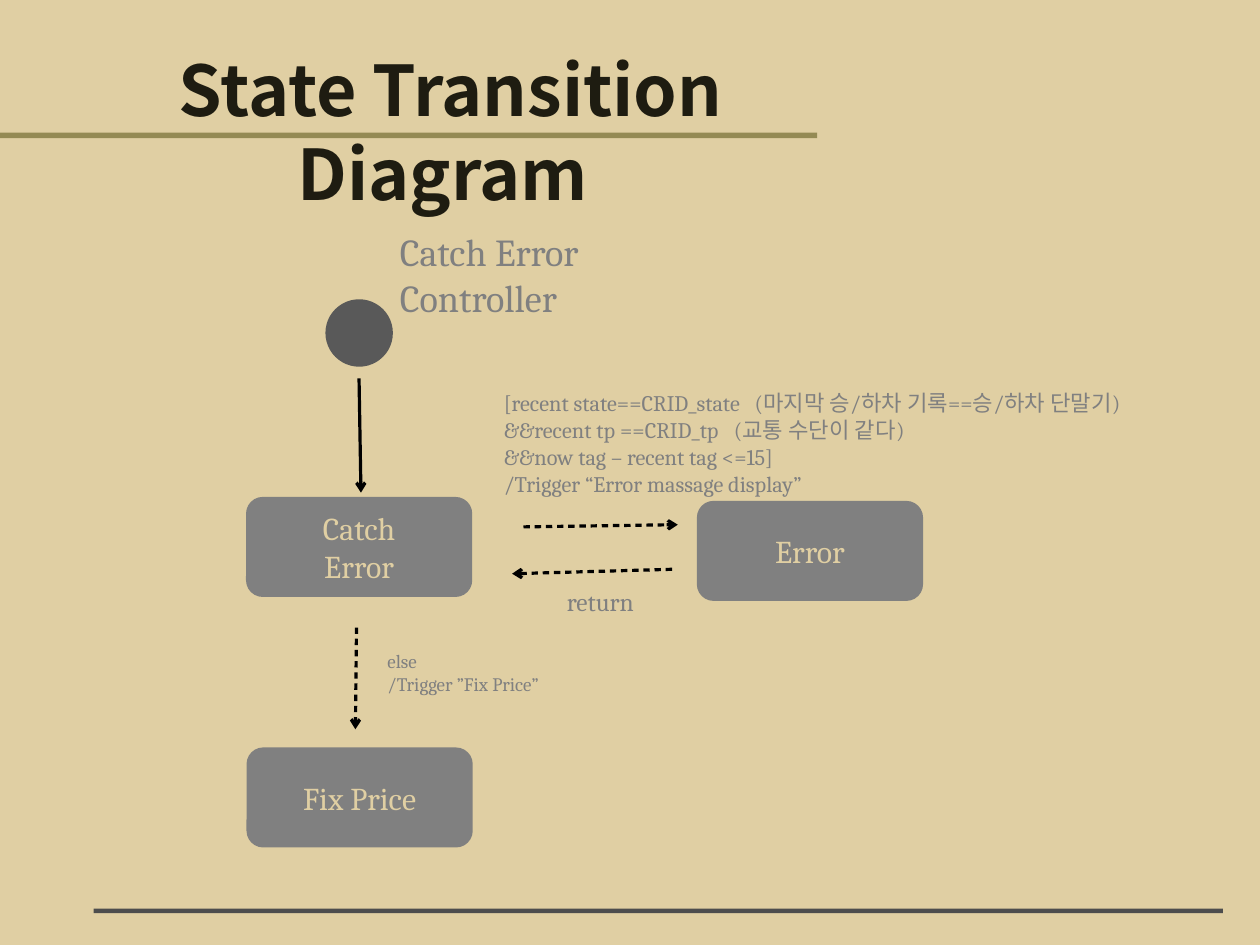
"""Builds the state transition slide of the catch error controller."""
import dataclasses

import pptx
import pptx.dml.color
import pptx.enum.shapes
import pptx.enum.text
import pptx.oxml
import pptx.oxml.ns
import pptx.util

Pt = pptx.util.Pt
Shape = pptx.enum.shapes.MSO_SHAPE
Align = pptx.enum.text.PP_ALIGN
Anchor = pptx.enum.text.MSO_ANCHOR


@dataclasses.dataclass
class Theme:
    back: str = "E0CFA3"
    gray: str = "808080"
    dot: str = "595959"
    ink: str = "1E1C11"
    olive: str = "948A54"
    foot: str = "4D4D4D"
    black: str = "000000"
    body: str = "Cambria"
    head: str = "Noto Sans CJK KR"
    title: int = 44
    name: int = 24
    state: int = 20
    label: int = 16
    guard: int = 14
    note: int = 12


def rgb(code):
    return pptx.dml.color.RGBColor.from_string(code)


def node(tag, **attrs):
    item = pptx.oxml.parse_xml(f"<a:{tag} {pptx.oxml.ns.nsdecls('a')}/>")
    for key, value in attrs.items():
        item.set(key, str(value))
    return item


def write(frame, text, size, color, font, east, bold=False, align=Align.LEFT,
          anchor=Anchor.TOP, inset=(7.2, 3.6), stops=()):
    frame.word_wrap = True
    frame.vertical_anchor = anchor
    frame.margin_left = frame.margin_right = Pt(inset[0])
    frame.margin_top = frame.margin_bottom = Pt(inset[1])
    for i, line in enumerate(text.split("\n")):
        para = frame.add_paragraph() if i else frame.paragraphs[0]
        para.alignment = align
        if i < len(stops):
            tabs = node("tabLst")
            tabs.append(node("tab", pos=int(Pt(stops[i])), algn="l"))
            para._p.get_or_add_pPr().append(tabs)
        run = para.add_run()
        run.text = line
        run.font.size, run.font.bold, run.font.name = Pt(size), bold, font
        run.font.color.rgb = rgb(color)
        run._r.get_or_add_rPr().append(node("ea", typeface=east))


class Board:
    def __init__(self, slide, theme):
        self.slide, self.theme = slide, theme
        slide.background.fill.solid()
        slide.background.fill.fore_color.rgb = rgb(theme.back)

    def shape(self, kind, box, fill):
        form = self.slide.shapes.add_shape(kind, *map(Pt, box))
        form.shadow.inherit = False
        form.fill.solid()
        form.fill.fore_color.rgb = rgb(fill)
        form.line.fill.background()
        return form

    def state(self, text, left, top):
        look = self.theme
        form = self.shape(Shape.ROUNDED_RECTANGLE, (left, top, 142.5, 63), look.gray)
        write(form.text_frame, text, look.state, look.back, look.body, look.head,
              align=Align.CENTER, anchor=Anchor.MIDDLE)

    def text(self, text, box, size, color=None, font=None, **style):
        look = self.theme
        form = self.slide.shapes.add_textbox(*map(Pt, box))
        write(form.text_frame, text, size, color or look.gray, font or look.body,
              look.head, **style)

    def arrow(self, start, end, dashed=True):
        kind = pptx.enum.shapes.MSO_CONNECTOR.STRAIGHT
        link = self.slide.shapes.add_connector(kind, *map(Pt, start + end))
        link.line.color.rgb = rgb(self.theme.black)
        link.line.width = Pt(2)
        line = link.line._get_or_add_ln()
        if dashed:
            dash = node("custDash")
            dash.append(node("ds", d=200000, sp=150000))
            line.append(dash)
        line.append(node("tailEnd", type="arrow"))
        link._element.spPr.append(node("effectLst"))


def main():
    deck = pptx.Presentation()
    deck.slide_width, deck.slide_height = Pt(793.75), Pt(595.25)
    look = Theme()
    board = Board(deck.slides.add_slide(deck.slide_layouts[6]), look)

    board.shape(Shape.OVAL, (205, 188.5, 42.5, 42.5), look.dot)
    board.text("Catch Error\nController", (244.8, 140.4, 270.7, 75.6), look.name)
    board.arrow((226.2, 238.3), (227.4, 310.3), dashed=False)
    board.state("Catch\nError", 155, 313)
    board.state("Fix Price", 155.3, 470.8)
    board.state("Error", 439, 315.5)
    board.text("else\n/Trigger ”Fix Price”", (237, 405.4, 152.6, 53.3), look.note)
    board.text("[recent state==CRID_state\t(마지막 승/하차 기록==승/하차 단말기)\n"
               "&&recent tp ==CRID_tp\t(교통 수단이 같다)\n"
               "&&now tag – recent tag <=15]\n"
               "/Trigger “Error massage display”",
               (310.3, 242, 464.4, 74.2), look.guard, stops=(158, 145))
    board.text("return", (350, 365.6, 90, 39.6), look.label)
    board.arrow((423.4, 358.6), (322.6, 361.4))
    board.arrow((329.8, 331.9), (427, 330.5))
    board.arrow((224.6, 395.3), (223.9, 459.4))
    board.text(" State Transition Diagram", (3.6, 26, 550.8, 86.4), look.title,
               look.ink, look.head, bold=True, align=Align.CENTER,
               inset=(12, 3.6))
    board.shape(Shape.RECTANGLE, (0, 83.5, 514.8, 3.6), look.olive)
    board.shape(Shape.RECTANGLE, (59, 572.4, 711.4, 2.9), look.foot)
    deck.save("out.pptx")


if __name__ == "__main__":
    main()
